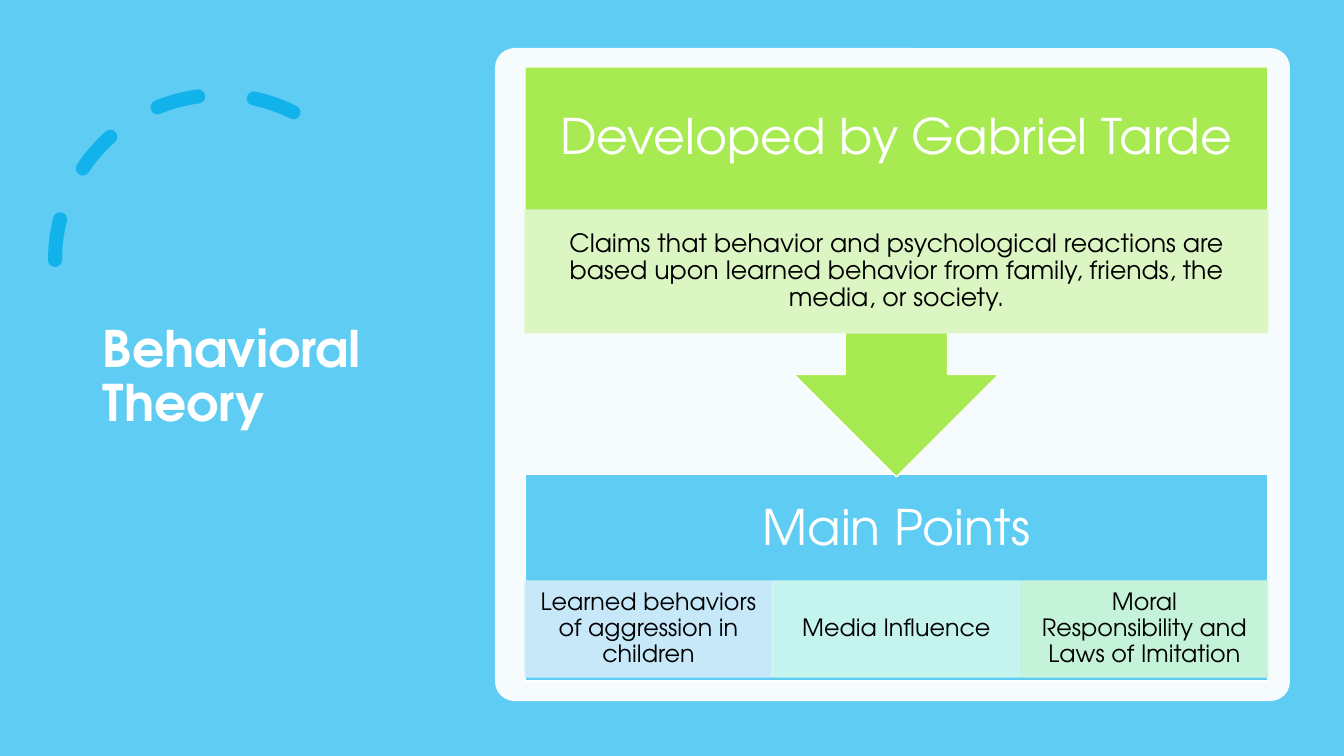
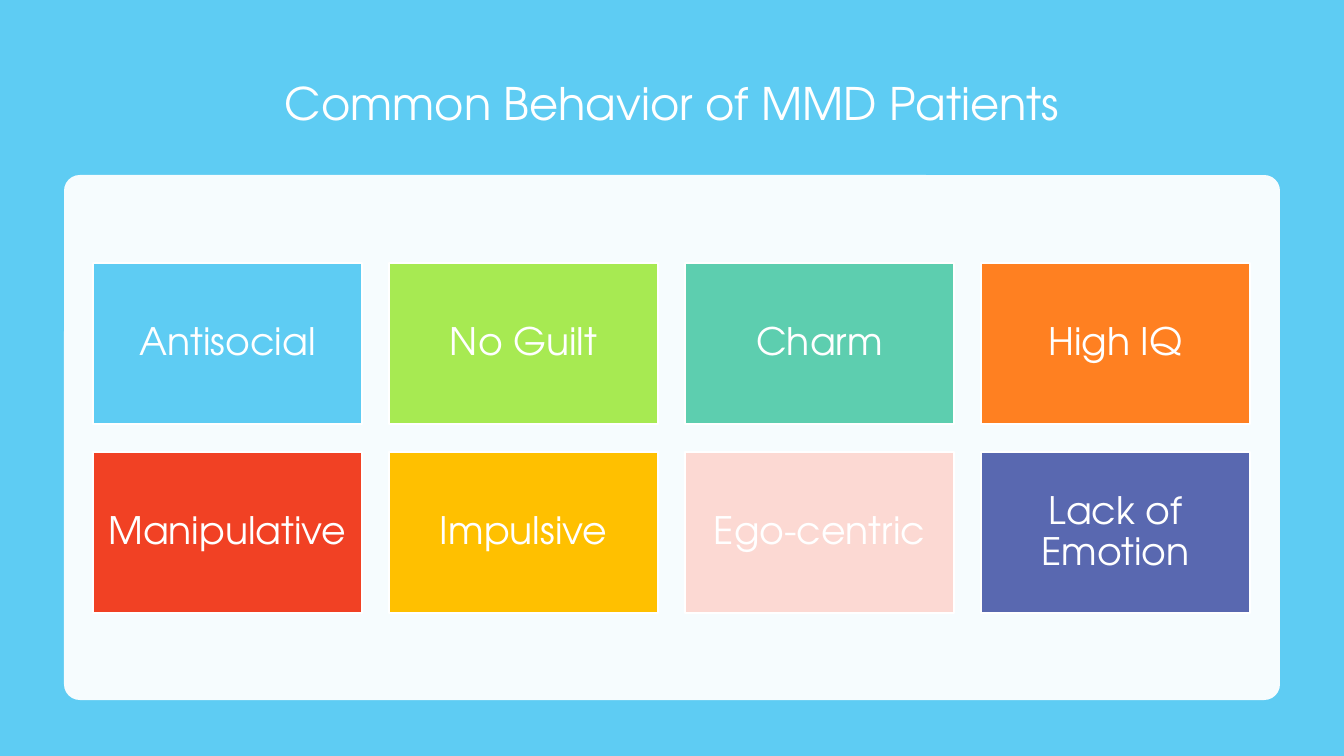
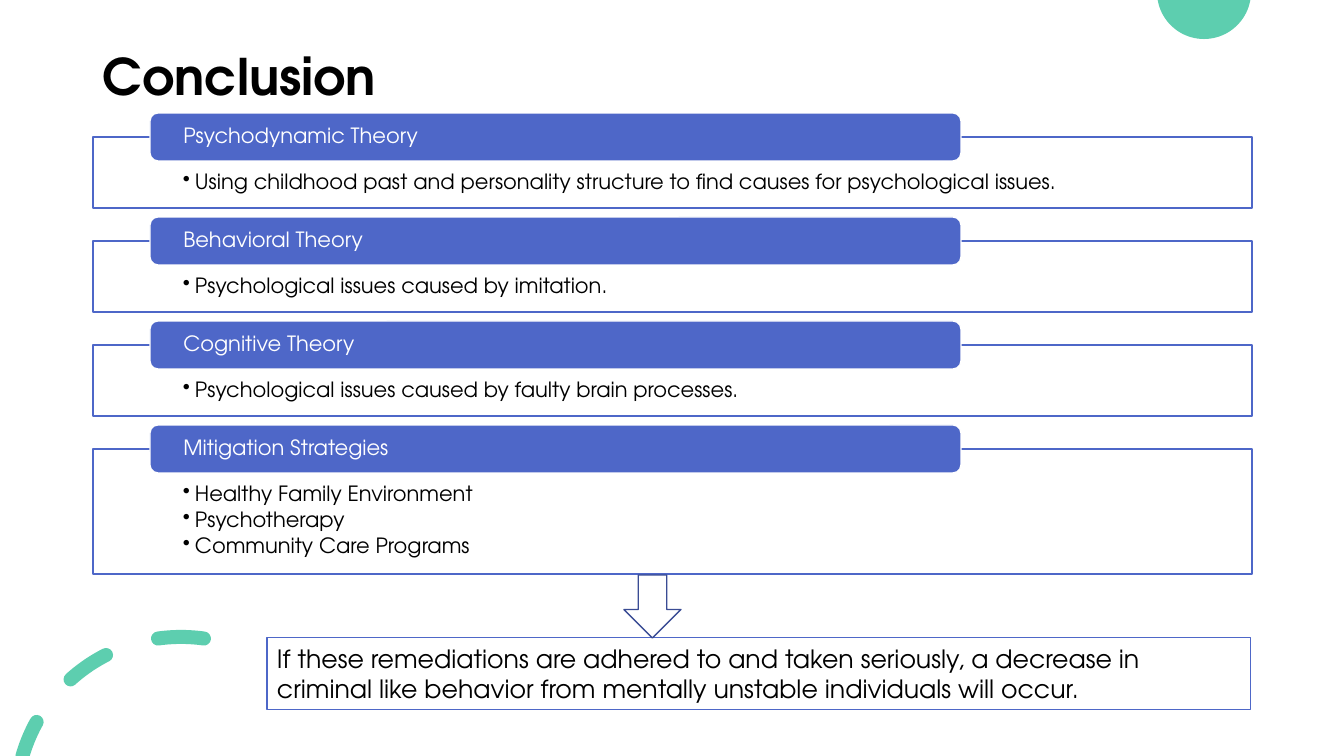
"""Build three slides on behavioral theory, common behaviors and the conclusion."""
import math
from pptx import Presentation, util as u
from pptx.dml.color import RGBColor
from pptx.enum import dml, shapes, text
from pptx.oxml.ns import qn
from pptx.oxml.xmlchemy import OxmlElement

PX = 914400 / 100.8
FONT = "TeX Gyre Adventor"
WHITE, BLACK, SKY, LIME, TEAL, INDIGO = "FFFFFF", "000000", "5ECCF3", "A7EA52", "5DCEAF", "4E67C8"
KIND, ALIGN, ANCHOR = shapes.MSO_SHAPE, text.PP_ALIGN, text.MSO_ANCHOR
rgb = RGBColor.from_string


def box(s, kind, rect, lines=(), size=18, ink=WHITE, bold=False, fill=None, line=None, weight=1,
        alpha=None, align=ALIGN.CENTER, anchor=ANCHOR.MIDDLE, ins=(10, 5, 10, 5), spacing=0.9):
    rect = [round(v * PX) for v in rect]
    if kind is None:
        sp = s.shapes.add_textbox(*rect)
    else:
        sp = s.shapes.add_shape(kind, *rect)
        sp.shadow.inherit = False
        for part, colour in ((sp.fill, fill), (sp.line.fill, line)):
            if colour:
                part.solid()
                part.fore_color.rgb = rgb(colour)
            else:
                part.background()
        if line:
            sp.line.width = u.Pt(weight)
        if alpha:
            for clr in sp.element.spPr.iter(qn("a:srgbClr")):
                OxmlElement("a:alpha")
                a = OxmlElement("a:alpha")
                a.set("val", str(alpha * 1000))
                clr.append(a)
    if lines:
        tf = sp.text_frame
        tf.text = "\n".join(lines)
        tf.word_wrap = True
        tf.vertical_anchor = anchor
        tf.margin_left, tf.margin_top, tf.margin_right, tf.margin_bottom = [round(v * PX) for v in ins]
        for p in tf.paragraphs:
            p.alignment, p.line_spacing = align, spacing
            for r in p.runs:
                r.font.name, r.font.size, r.font.bold = FONT, u.Pt(size), bold
                r.font.color.rgb = rgb(ink)
    return sp


def stroke(sp, colour):
    sp.shadow.inherit = False
    sp.fill.background()
    sp.line.color.rgb = rgb(colour)
    sp.line.width = u.Pt(10)
    sp.element.spPr.find(qn("a:ln")).set("cap", "rnd")


prs = Presentation()
prs.slide_width, prs.slide_height = round(1344 * PX), round(756 * PX)
theory, behavior, conclusion = [prs.slides.add_slide(prs.slide_layouts[6]) for _ in range(3)]

for s, panel in ((theory, (495, 48, 795, 653)), (behavior, (64, 175, 1216, 525))):
    s.background.fill.solid()
    s.background.fill.fore_color.rgb = rgb(SKY)
    sp = box(s, KIND.ROUNDED_RECTANGLE, panel, fill=WHITE, alpha=95)
    sp.adjustments[0] = 0.03

titles = [
    (theory, (93, 71, 326, 614), "Behavioral Theory", 36, WHITE, True, ALIGN.LEFT),
    (behavior, (93, 50, 1159, 111), "Common Behavior of MMD Patients", 32, WHITE, False, ALIGN.CENTER),
    (conclusion, (93, 6, 1159, 146), "Conclusion", 36, BLACK, True, ALIGN.LEFT),
]
for s, rect, title, size, ink, bold, align in titles:
    box(s, None, rect, [title], size, ink, bold, align=align)

arc = theory.shapes.add_shape(KIND.ARC, *[round(v * PX) for v in (55, 95, 330, 330)])
arc.adjustments[0], arc.adjustments[1] = 146.13, 0
arc.element.spPr.find(qn("a:xfrm")).set("flipH", "1")
stroke(arc, "12B2EB")
arc.line.dash_style = dml.MSO_LINE.DASH

box(theory, KIND.RECTANGLE, (525, 474, 743, 207), ["Main Points"], 35,
    fill=SKY, line=WHITE, ins=(27, 27, 27, 122))
box(theory, KIND.DOWN_ARROW_CALLOUT, (525, 67, 743, 410), ["Developed by Gabriel Tarde"], 35,
    fill=LIME, line=WHITE, ins=(27, 27, 27, 150))
box(theory, KIND.RECTANGLE, (525, 210, 743, 123),
    ["Claims that behavior and psychological reactions are based upon learned behavior "
     "from family, friends, the media, or society."],
    18, BLACK, fill="E1F7D0", line="E1F7D0", alpha=90, ins=(14, 3, 14, 3))
points = [
    ("Learned behaviors of aggression in children", "D2ECFA"),
    ("Media Influence", "D1F9EF"),
    ("Moral Responsibility and Laws of Imitation", "D1F8D7"),
]
for i, (point, colour) in enumerate(points):
    box(theory, KIND.RECTANGLE, (525 + i * 248, 581, 247, 96), [point], 17, BLACK,
        fill=colour, line=colour, alpha=90, ins=(13, 2, 13, 2))

behaviors = [
    ("Antisocial", SKY), ("No Guilt", LIME), ("Charm", TEAL), ("High IQ", "FF8021"),
    ("Manipulative", "F14124"), ("Impulsive", "FFC000"), ("Ego-centric", "FCD9D3"),
    ("Lack of Emotion", "5968B0"),
]
for i, (name, colour) in enumerate(behaviors):
    row, col = divmod(i, 4)
    box(behavior, KIND.RECTANGLE, (93 + col * 296, 263 + row * 189, 269, 161), [name], 27,
        fill=colour, line=WHITE, ins=(11, 11, 11, 11))

ball = [(round((1204 + 47 * math.cos(math.radians(a))) * PX),
         round(max(0, -8 + 47 * math.sin(math.radians(a))) * PX)) for a in range(10, 171, 4)]
fb = conclusion.shapes.build_freeform(*ball[0])
fb.add_line_segments(ball[1:], close=True)
sp = fb.convert_to_shape()
sp.shadow.inherit = False
sp.fill.solid()
sp.fill.fore_color.rgb = rgb(TEAL)
sp.line.fill.background()

for start, end in ((196, 209), (228, 243), (262, 278)):
    dash = [(round((181 + 165 * math.cos(math.radians(a))) * PX),
             round((802 + 165 * math.sin(math.radians(a))) * PX)) for a in range(start, end + 1)]
    fb = conclusion.shapes.build_freeform(*dash[0])
    fb.add_line_segments(dash[1:], close=False)
    stroke(fb.convert_to_shape(), TEAL)

sections = [
    ("Psychodynamic Theory",
     ["Using childhood past and personality structure to find causes for psychological issues."], 71),
    ("Behavioral Theory", ["Psychological issues caused by imitation."], 71),
    ("Cognitive Theory", ["Psychological issues caused by faulty brain processes."], 71),
    ("Mitigation Strategies",
     ["Healthy Family Environment", "Psychotherapy", "Community Care Programs"], 125),
]
y = 137
for heading, bullets, h in sections:
    sp = box(conclusion, KIND.RECTANGLE, (93, y, 1159, h), bullets, 15, BLACK, fill=WHITE, line=INDIGO,
             align=ALIGN.LEFT, anchor=ANCHOR.TOP, ins=(90, 34, 90, 12))
    for p in sp.text_frame.paragraphs:
        p.space_after = u.Pt(2.5)
        pPr = p._p.get_or_add_pPr()
        pPr.set("marL", str(round(12 * PX)))
        pPr.set("indent", str(round(-12 * PX)))
        bu = OxmlElement("a:buChar")
        bu.set("char", "•")
        pPr.append(bu)
    box(conclusion, KIND.ROUNDED_RECTANGLE, (150, y - 24, 811, 48), [heading], 15,
        fill=INDIGO, line=WHITE, align=ALIGN.LEFT, ins=(31, 0, 31, 0))
    y += h + 33

box(conclusion, KIND.RECTANGLE, (267, 638, 984, 72),
    ["If these remediations are adhered to and taken seriously, a decrease in criminal like "
     "behavior from mentally unstable individuals will occur."],
    18, BLACK, line=INDIGO, weight=0.75, align=ALIGN.LEFT, anchor=ANCHOR.TOP, spacing=1.0)
box(conclusion, KIND.DOWN_ARROW, (624, 575, 57, 63), line="3A4C94")

prs.save("out.pptx")
